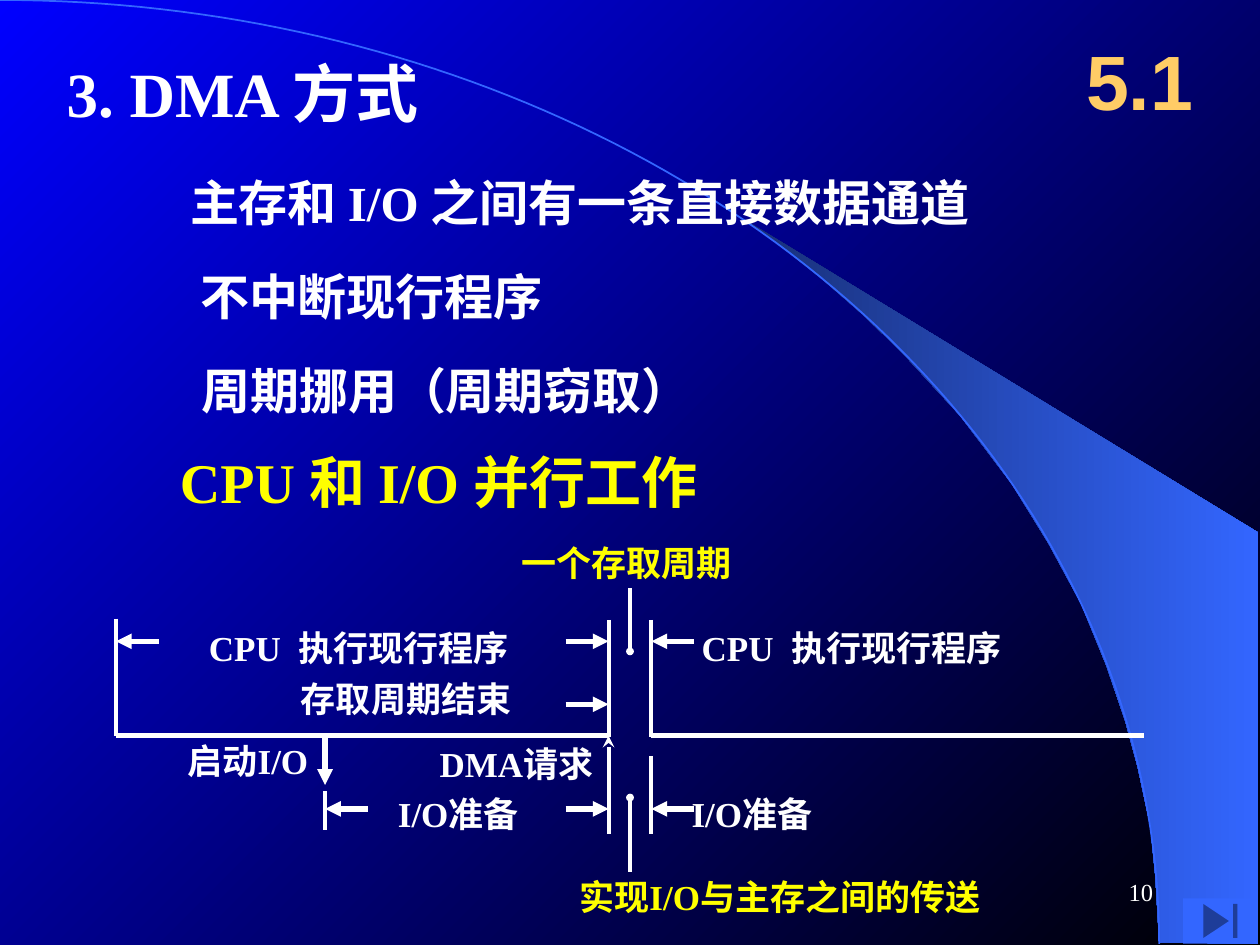
from dataclasses import dataclass
from math import cos, pi, sin

from lxml.etree import SubElement
from pptx import Presentation
from pptx.dml.color import RGBColor
from pptx.enum.shapes import MSO_CONNECTOR, MSO_SHAPE
from pptx.enum.text import MSO_ANCHOR, MSO_AUTO_SIZE, PP_ALIGN
from pptx.oxml.ns import qn
from pptx.util import Pt

PX = 9144  # EMU per px, 100 px to the inch
WHITE, YELLOW, ORANGE, BLUE = "FFFFFF", "FFFF00", "FFCC66", "3366FF"
SERIF, SANS = "Times New Roman", "Arial"
THIN, THICK = 2.25, 3
SLACK = 8  # spare label width that keeps each label on one line


@dataclass
class Label:
    text: str
    x: int
    y: int
    w: int
    h: int = 44
    size: int = 20
    color: str = WHITE
    wrap: bool = False


@dataclass
class Line:
    x1: int
    y1: int
    x2: int
    y2: int
    width: float = THIN
    head: str = ""
    tail: str = ""


def rgb(color: str) -> RGBColor:
    return RGBColor.from_string(color)


def set_gradient(fill, colors: tuple[str, str], angle: int) -> None:
    fill.gradient()
    fill.gradient_angle = angle
    for stop, color in zip(fill.gradient_stops, colors):
        stop.color.rgb = rgb(color)


def set_text(sp, text: str, size: int, color: str, font: str = SERIF,
             bold: bool = True, align=PP_ALIGN.LEFT) -> None:
    p = sp.text_frame.paragraphs[0]
    p.text = text
    p.alignment = align
    p.font.size, p.font.bold, p.font.name = Pt(size), bold, font
    p.font.color.rgb = rgb(color)


def add_label(s, label: Label) -> None:
    sp = s.shapes.add_textbox(label.x * PX, label.y * PX,
                              (label.w + SLACK) * PX, label.h * PX)
    sp.text_frame.word_wrap = label.wrap
    sp.text_frame.auto_size = MSO_AUTO_SIZE.SHAPE_TO_FIT_TEXT
    set_text(sp, label.text, label.size, label.color)


def add_line(s, line: Line) -> None:
    sp = s.shapes.add_connector(MSO_CONNECTOR.STRAIGHT, line.x1 * PX, line.y1 * PX,
                                line.x2 * PX, line.y2 * PX)
    sp.line.width = Pt(line.width)
    sp.line.color.rgb = rgb(WHITE)
    ln = sp.line._get_or_add_ln()
    for tag, kind in (("a:headEnd", line.head), ("a:tailEnd", line.tail)):
        if kind:
            size = "sm" if kind == "oval" else "med"
            SubElement(ln, qn(tag), type=kind, w=size, len=size)
    SubElement(sp._element.spPr, qn("a:effectLst"))


def add_outline(s, points: list[tuple[float, float]], close: bool):
    # Points are scaled here, since the builder rounds them to whole units
    emu = [(round(x * PX), round(y * PX)) for x, y in points]
    builder = s.shapes.build_freeform(*emu[0])
    builder.add_line_segments(emu[1:], close=close)
    sp = builder.convert_to_shape()
    sp.shadow.inherit = False
    return sp


prs = Presentation()
prs.slide_width, prs.slide_height = 1000 * PX, 750 * PX
s = prs.slides.add_slide(prs.slide_layouts[5])
set_gradient(s.background.fill, ("0000FF", "000000"), 315)

# Background swoosh and quarter ellipse
SWOOSH = [(920, 748), (999, 749), (999, 423), (589, 173), (624, 199), (653, 222),
          (685, 250), (716, 280), (762, 330), (803, 384), (832, 431), (858, 479),
          (878, 528), (893, 572), (903, 609), (913, 656), (917, 696)]
swoosh = add_outline(s, SWOOSH, close=True)
set_gradient(swoosh.fill, ("182F76", BLUE), 0)
swoosh.line.fill.background()

STEPS = 90
angles = [i * pi / 2 / STEPS for i in range(STEPS + 1)]
arc = add_outline(s, [(920 * sin(a), 749 * (1 - cos(a))) for a in angles], close=False)
arc.fill.background()
arc.line.color.rgb = rgb(BLUE)
arc.line.width = Pt(1)

# Section number
title = s.shapes.title
title.left, title.top, title.width, title.height = 842 * PX, 17 * PX, 125 * PX, 92 * PX
title.text_frame.auto_size = MSO_AUTO_SIZE.NONE
title.text_frame.vertical_anchor = MSO_ANCHOR.MIDDLE
set_text(title, "5.1", 44, ORANGE, SANS, align=PP_ALIGN.CENTER)

# Heading, key points and conclusion
HEADINGS = [
    Label("3. DMA 方式", 43, 38, 314, 70, 36),
    Label("主存和 I/O 之间有一条直接数据通道", 141, 132, 657, 57, 28),
    Label("不中断现行程序", 149, 207, 292, 57, 28),
    Label("周期挪用（周期窃取）", 150, 281, 408, 57, 28),
    Label("CPU 和 I/O 并行工作", 133, 350, 462, 64, 32, YELLOW),
]

# Timing diagram: instants along the time axis
START, IO_START, REQUEST, MIDDLE, RESUME, END = 92, 258, 483, 500, 517, 908
AXIS, CPU_Y, CYCLE_Y, IO_Y = 584, 509, 559, 642
ARROW = 34

LINES = [
    Line(START, AXIS, REQUEST, AXIS, THICK),
    Line(RESUME, AXIS, END, AXIS, THICK),
    Line(START, 491, START, AXIS),
    Line(REQUEST, 492, REQUEST, 585),
    Line(RESUME, 492, RESUME, 585),
    Line(REQUEST, AXIS, REQUEST, 662, head="stealth"),
    Line(RESUME, 600, RESUME, 662),
    Line(IO_START, 628, IO_START, 659),
    Line(IO_START, 582, IO_START, 623, THICK, tail="triangle"),
    Line(MIDDLE, 467, MIDDLE, 517, tail="oval"),
    Line(MIDDLE, 692, MIDDLE, 633, tail="oval"),
]
# Short arrows that close each interval; side is where the arrow starts
INTERVAL_ENDS = [(START, CPU_Y, 1), (REQUEST, CPU_Y, -1), (RESUME, CPU_Y, 1),
                 (REQUEST, CYCLE_Y, -1), (IO_START, IO_Y, 1),
                 (REQUEST, IO_Y, -1), (RESUME, IO_Y, 1)]
LINES += [Line(x + side * ARROW, y, x, y, THICK, tail="triangle")
          for x, y, side in INTERVAL_ENDS]

DIAGRAM_LABELS = [
    Label("一个存取周期", 404, 425, 187, color=YELLOW),
    Label("CPU  执行现行程序", 156, 492, 265),
    Label("CPU  执行现行程序", 547, 492, 265),
    Label("存取周期结束", 229, 533, 187),
    Label("启动I/O", 139, 582, 122),
    Label("DMA请求", 339, 584, 149),
    Label("I/O准备", 306, 624, 122),
    Label("I/O准备", 539, 624, 122),
    Label("实现I/O与主存之间的传送", 450, 690, 358, color=YELLOW, wrap=True),
]

for line in LINES:
    add_line(s, line)
for label in HEADINGS + DIAGRAM_LABELS:
    add_label(s, label)

# Button to the last slide
button = s.shapes.add_shape(MSO_SHAPE.ACTION_BUTTON_END, 939 * PX, 713 * PX, 59 * PX, 36 * PX)
button.shadow.inherit = False
button.fill.solid()
button.fill.fore_color.rgb = rgb(BLUE)
button.line.fill.background()

# Page number
number = s.shapes.add_textbox(717 * PX, 683 * PX, 208 * PX, 50 * PX)
number.text_frame.word_wrap = True
number.text_frame.vertical_anchor = MSO_ANCHOR.MIDDLE
set_text(number, "10", 14, WHITE, bold=False, align=PP_ALIGN.RIGHT)

prs.save("out.pptx")
